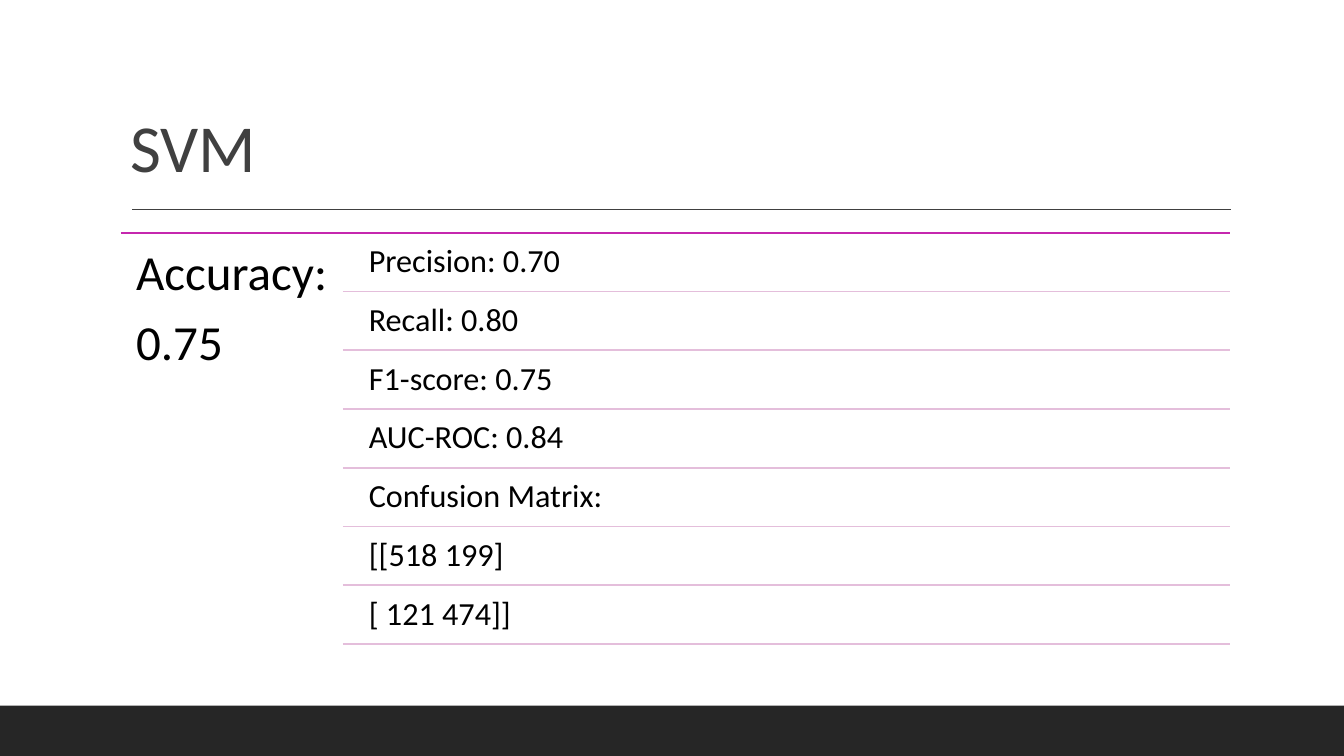
from lxml import etree
from pptx import Presentation
from pptx.dml.color import RGBColor
from pptx.enum.shapes import MSO_CONNECTOR, MSO_SHAPE
from pptx.enum.text import MSO_ANCHOR
from pptx.oxml.ns import qn
from pptx.util import Emu, Pt

STRAIGHT = MSO_CONNECTOR.STRAIGHT
RECTANGLE = MSO_SHAPE.RECTANGLE
TOP, BOTTOM = MSO_ANCHOR.TOP, MSO_ANCHOR.BOTTOM
EMU_PER_PX = 9144
FONT = "Calibri"
COLORS = {
    "footer": "262626",
    "title": "404040",
    "text": "000000",
    "accent": "C527AE",
    "divider": "E4BEDB",
}
ACCURACY = ["Accuracy:", "0.75"]
METRICS = [
    "Precision: 0.70",
    "Recall: 0.80",
    "F1-score: 0.75",
    "AUC-ROC: 0.84",
    "Confusion Matrix:",
    "[[518 199]",
    "[ 121 474]]",
]


def px(length):
    """Turn px into EMU."""
    return Emu(round(length * EMU_PER_PX))


def color(name):
    """Look up a named colour."""
    return RGBColor.from_string(COLORS[name])


def add_rule(slide, left, right, y, color_name, weight):
    """Draw a horizontal line without a shadow."""
    rule = slide.shapes.add_connector(STRAIGHT, px(left), px(y), px(right), px(y))
    rule.line.color.rgb = color(color_name)
    rule.line.width = Pt(weight)
    etree.SubElement(rule._element.spPr, qn("a:effectLst"))


def add_text(slide, box, lines, size, color_name="text", inset=(10, 10),
             anchor=TOP, space_after=0.35, tracking=None):
    """Place paragraphs of one style in a box."""
    frame = slide.shapes.add_textbox(*map(px, box)).text_frame
    frame.word_wrap = True
    frame.vertical_anchor = anchor
    frame.margin_left = frame.margin_right = px(inset[0])
    frame.margin_top = frame.margin_bottom = px(inset[1])
    for index, line in enumerate(lines):
        paragraph = frame.add_paragraph() if index else frame.paragraphs[0]
        paragraph.line_spacing = 0.9
        paragraph.space_after = Pt(round(size * space_after))
        run = paragraph.add_run()
        run.text = line
        run.font.name = FONT
        run.font.size = Pt(size)
        run.font.color.rgb = color(color_name)
        if tracking is not None:
            run.font._element.set("spc", str(tracking))


def add_footer(slide, left, top, width, height):
    """Draw the dark band at the foot of the slide."""
    band = slide.shapes.add_shape(RECTANGLE, *map(px, (left, top, width, height)))
    band.shadow.inherit = False
    band.fill.solid()
    band.fill.fore_color.rgb = color("footer")
    band.line.fill.background()


def add_heading(slide, left, top, width, height):
    """Place the title and the rule beneath it."""
    add_text(slide, (left, top, width, height), ["SVM"], 48, "title",
             inset=(10, 5), anchor=BOTTOM, space_after=0, tracking=-50)
    add_rule(slide, left + 11, left + width + 1, top + height + 18, "title", 1)


def add_results(slide, left, top, width, height):
    """Place the accuracy beside the evenly spaced list of metrics."""
    accuracy_width = width // 5
    metrics_left = left + accuracy_width
    text_left = metrics_left + 16
    right = left + width
    row_height = height / len(METRICS)
    add_rule(slide, left, right, top, "accent", 1.25)
    add_text(slide, (left, top, accuracy_width, height), ACCURACY, 35, inset=(15, 15))
    for row, metric in enumerate(METRICS):
        row_top = top + row * row_height
        add_text(slide, (text_left, row_top + 2, right - text_left, row_height - 2),
                 [metric], 23)
        add_rule(slide, metrics_left, right, row_top + row_height, "divider", 1.25)


def main():
    """Build and save the slide."""
    deck = Presentation()
    deck.slide_width, deck.slide_height = px(1333), px(750)
    slide = deck.slides.add_slide(deck.slide_layouts[6])
    add_footer(slide, 0, 700, 1333, 50)
    add_heading(slide, 120, 31, 1100, 159)
    add_results(slide, 120, 231, 1100, 408)
    deck.save("out.pptx")


if __name__ == "__main__":
    main()
